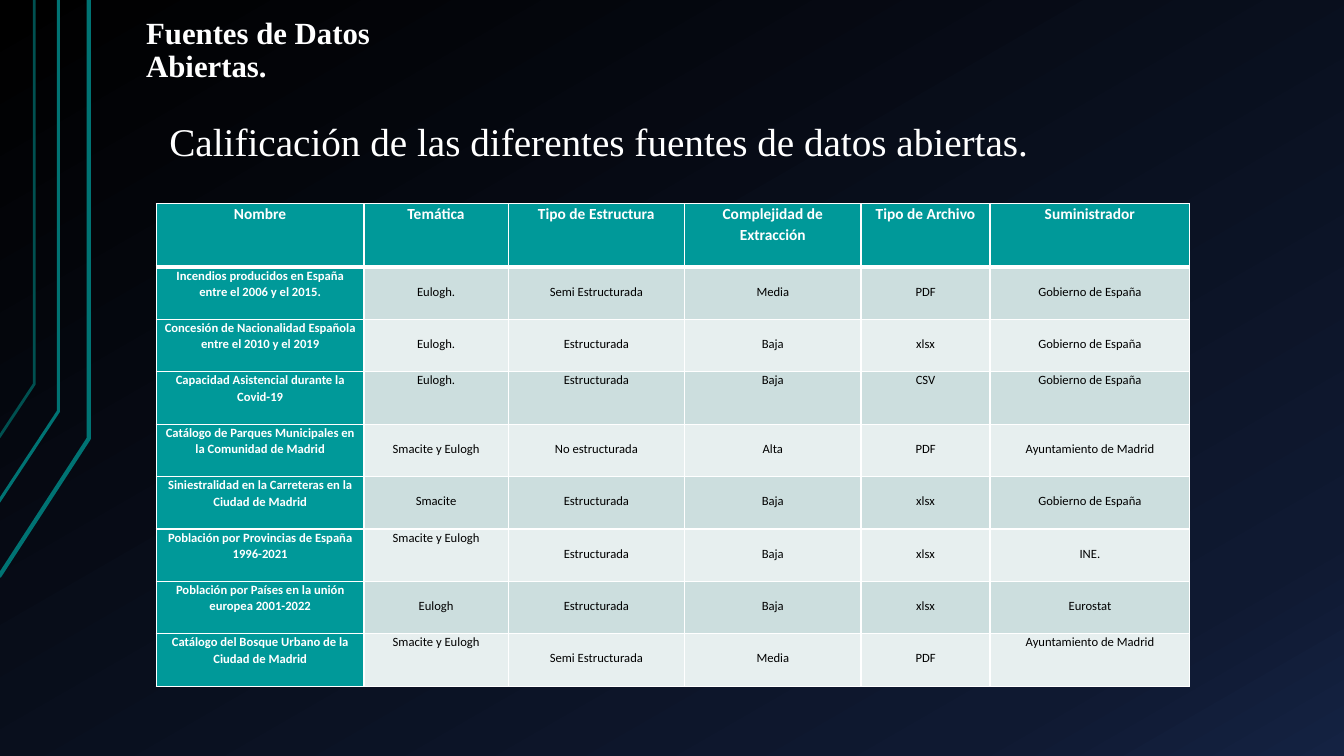
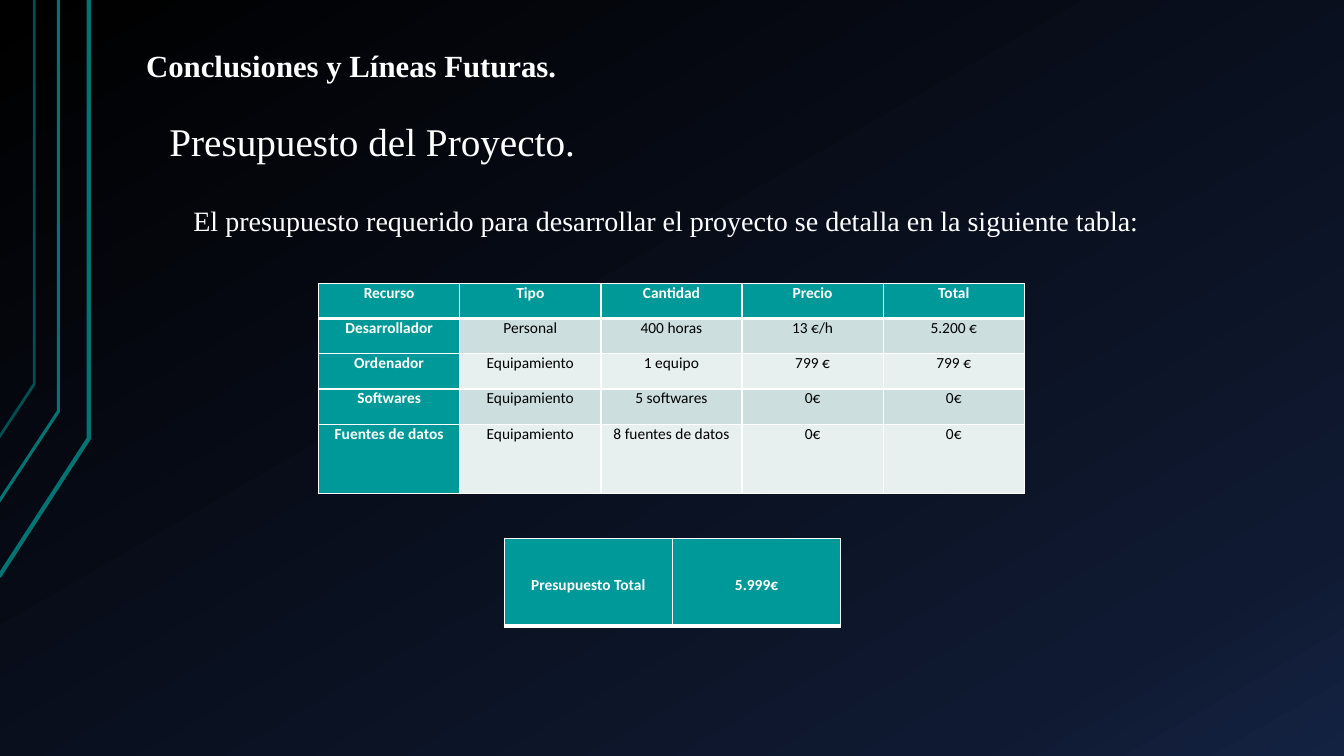
from pptx import Presentation
from pptx.dml.color import RGBColor as RGB
from pptx.enum.text import MSO_ANCHOR as ANC, MSO_AUTO_SIZE as AUTO, PP_ALIGN as AL
from pptx.oxml.ns import qn
from pptx.util import Inches, Pt
from lxml.etree import SubElement as Sub
from copy import deepcopy

WHITE = RGB(0xFF, 0xFF, 0xFF)
BLACK = RGB(0, 0, 0)
TEAL = RGB(0x00, 0x99, 0x99)
DEEP = RGB(0x00, 0x73, 0x73)
DIM = RGB(0x00, 0x50, 0x50)
NAVY = RGB(0x0F, 0x19, 0x31)
BLUE = RGB(0x14, 0x22, 0x42)
BANDS = (RGB(0xE7, 0xEF, 0xEF), RGB(0xCC, 0xDE, 0xDE))
SERIF = "Times New Roman"
SANS = "Calibri"

STOPS = ((0, BLACK), (0.85, NAVY), (1, BLUE))
RAILS = (
    (((-0.01, 5.72), (0.88, 4.35), (0.88, 0)), DEEP, 3),
    (((-0.02, 4.99), (0.58, 4.08), (0.58, 0)), DEEP, 2.25),
    (((-0.01, 4.34), (0.34, 3.81), (0.34, 0)), DIM, 2),
)

SOURCES = (
    ("Nombre", "Temática", "Tipo de Estructura", "Complejidad de Extracción",
     "Tipo de Archivo", "Suministrador"),
    ("Incendios producidos en España entre el 2006 y el 2015.", "Eulogh.",
     "Semi Estructurada", "Media", "PDF", "Gobierno de España"),
    ("Concesión de Nacionalidad Española entre el 2010 y el 2019", "Eulogh.",
     "Estructurada", "Baja", "xlsx", "Gobierno de España"),
    ("Capacidad Asistencial durante la Covid-19", "Eulogh.",
     "Estructurada", "Baja", "CSV", "Gobierno de España"),
    ("Catálogo de Parques Municipales en la Comunidad de Madrid", "Smacite y Eulogh",
     "No estructurada", "Alta", "PDF", "Ayuntamiento de Madrid"),
    ("Siniestralidad en la Carreteras en la Ciudad de Madrid", "Smacite",
     "Estructurada", "Baja", "xlsx", "Gobierno de España"),
    ("Población por Provincias de España 1996-2021", "Smacite y Eulogh",
     "Estructurada", "Baja", "xlsx", "INE."),
    ("Población por Países en la unión europea 2001-2022", "Eulogh",
     "Estructurada", "Baja", "xlsx", "Eurostat"),
    ("Catálogo del Bosque Urbano de la Ciudad de Madrid", "Smacite y Eulogh",
     "Semi Estructurada", "Media", "PDF", "Ayuntamiento de Madrid"),
)
HIGH = {(3, col) for col in range(1, 6)} | {(6, 1), (8, 1), (8, 5)}

BUDGET = (
    ("Recurso", "Tipo", "Cantidad", "Precio", "Total"),
    ("Desarrollador", "Personal", "400 horas", "13 €/h", "5.200 €"),
    ("Ordenador", "Equipamiento", "1 equipo", "799 €", "799 €"),
    ("Softwares", "Equipamiento", "5 softwares", "0€", "0€"),
    ("Fuentes de datos", "Equipamiento", "8 fuentes de datos", "0€", "0€"),
)


def write(frame, text, *, size, font=SERIF, color=WHITE, bold=False,
          align=AL.LEFT, space=1, indent=0):
    frame.word_wrap = True
    para = frame.paragraphs[0]
    para.alignment = align
    para.line_spacing = space
    para.space_before = para.space_after = Pt(0)
    props = para._p.get_or_add_pPr()
    props.set("marL", "0")
    props.set("indent", str(Inches(indent)))
    Sub(props, qn("a:buNone"))
    run = para.add_run()
    run.text = text
    run.font.name, run.font.size, run.font.bold = font, Pt(size), bold
    run.font.color.rgb = color


def place(shape, left, top, width, height):
    shape.left, shape.top = Inches(left), Inches(top)
    shape.width, shape.height = Inches(width), Inches(height)


def fill_box(shape, box, text, anchor, **style):
    place(shape, *box)
    frame = shape.text_frame
    frame.auto_size = AUTO.NONE
    frame.vertical_anchor = anchor
    frame.margin_left = frame.margin_right = Inches(0.13)
    frame.margin_top = frame.margin_bottom = Inches(0.07)
    write(frame, text, space=0.9, **style)


def paint_back(master):
    fill = master.background.fill
    fill.gradient()
    fill.gradient_angle = 300
    stops = fill.gradient_stops
    last = stops[1]._gs
    last.addnext(deepcopy(last))
    for stop, (pos, color) in zip(fill.gradient_stops, STOPS):
        stop.position = pos
        stop.color.rgb = color


def add_rails(slide, master):
    for num, (dots, color, width) in enumerate(RAILS):
        first, *rest = [(Inches(x), Inches(y)) for x, y in dots]
        pen = slide.shapes.build_freeform(*first, scale=1)
        pen.add_line_segments(rest, close=False)
        rail = pen.convert_to_shape()
        rail.shadow.inherit = False
        rail.fill.background()
        rail.line.color.rgb = color
        rail.line.width = Pt(width)
        node = rail._element
        node.nvSpPr.cNvPr.set("id", str(100 + num))
        master.shapes.element.insert(2 + num, node)


def add_edges(cell, top, bottom):
    props = cell._tc.get_or_add_tcPr()
    widths = {"L": 1, "R": 1, "T": top, "B": bottom}
    for num, (side, width) in enumerate(widths.items()):
        line = Sub(props, qn("a:ln" + side), w=str(Pt(width)))
        Sub(Sub(line, qn("a:solidFill")), qn("a:srgbClr"), val=str(WHITE))
        props.insert(num, line)


def add_grid(slide, left, top, rows, cols, heights, *, size=11, space=1, drop=None):
    frame = slide.shapes.add_table(
        len(rows), len(cols), Inches(left), Inches(top),
        Inches(sum(cols)), Inches(sum(heights)))
    table = frame.table
    table.first_row = table.horz_banding = False
    for col, width in zip(table.columns, cols):
        col.width = Inches(width)
    for row, height in zip(table.rows, heights):
        row.height = Inches(height)
    for i, row in enumerate(rows):
        for j, text in enumerate(row):
            cell = table.cell(i, j)
            head = i == 0 or j == 0
            cell.margin_left = cell.margin_right = Inches(0.07)
            cell.margin_top = Inches(drop(i, j) if drop else 0)
            cell.margin_bottom = 0
            cell.fill.solid()
            cell.fill.fore_color.rgb = TEAL if head else BANDS[i % 2]
            add_edges(cell, 3 if i == 1 else 1, 3 if i == 0 else 1)
            write(cell.text_frame, text, font=SANS, size=11 if i == 0 else size,
                  color=WHITE if head else BLACK, bold=head,
                  align=AL.CENTER, space=space)


def add_page(deck, title, width, lead):
    slide = deck.slides.add_slide(deck.slide_layouts[1])
    fill_box(slide.shapes.title, (1.32, 0.28, width, 0.63), title,
             ANC.BOTTOM, size=22, bold=True)
    fill_box(slide.placeholders[1], (1.55, 1.15, 10.24, 0.63), lead,
             ANC.TOP, size=28, align=AL.JUSTIFY)
    return slide


def source_drop(i, j):
    return 0.16 if i and j and (i, j) not in HIGH else 0


def main():
    deck = Presentation()
    deck.slide_width, deck.slide_height = Inches(13.33), Inches(7.5)
    master = deck.slide_master
    paint_back(master)

    page = add_page(deck, "Fuentes de Datos Abiertas.", 3.54,
                    "Calificación de las diferentes fuentes de datos abiertas.")
    add_rails(page, master)
    add_grid(page, 1.55, 2.02, SOURCES, (2.06, 1.43, 1.75, 1.75, 1.28, 1.98),
             [0.63] + [0.52] * 8, size=9, space=1.07, drop=source_drop)

    page = add_page(deck, "Conclusiones y Líneas Futuras.", 5.82,
                    "Presupuesto del Proyecto.")
    note = page.shapes.add_textbox(
        Inches(1.57), Inches(1.97), Inches(10.24), Inches(0.44))
    write(note.text_frame,
          "El presupuesto requerido para desarrollar el proyecto se detalla "
          "en la siguiente tabla:", size=20, align=AL.JUSTIFY, indent=0.25)
    add_grid(page, 3.16, 2.81, BUDGET, [1.4] * 5, [0.35] * 4 + [0.69])
    add_grid(page, 5, 5.34, [("Presupuesto Total", "5.999€")], [1.67] * 2, [0.87],
             drop=lambda i, j: 0.37)
    deck.save("out.pptx")


if __name__ == "__main__":
    main()
